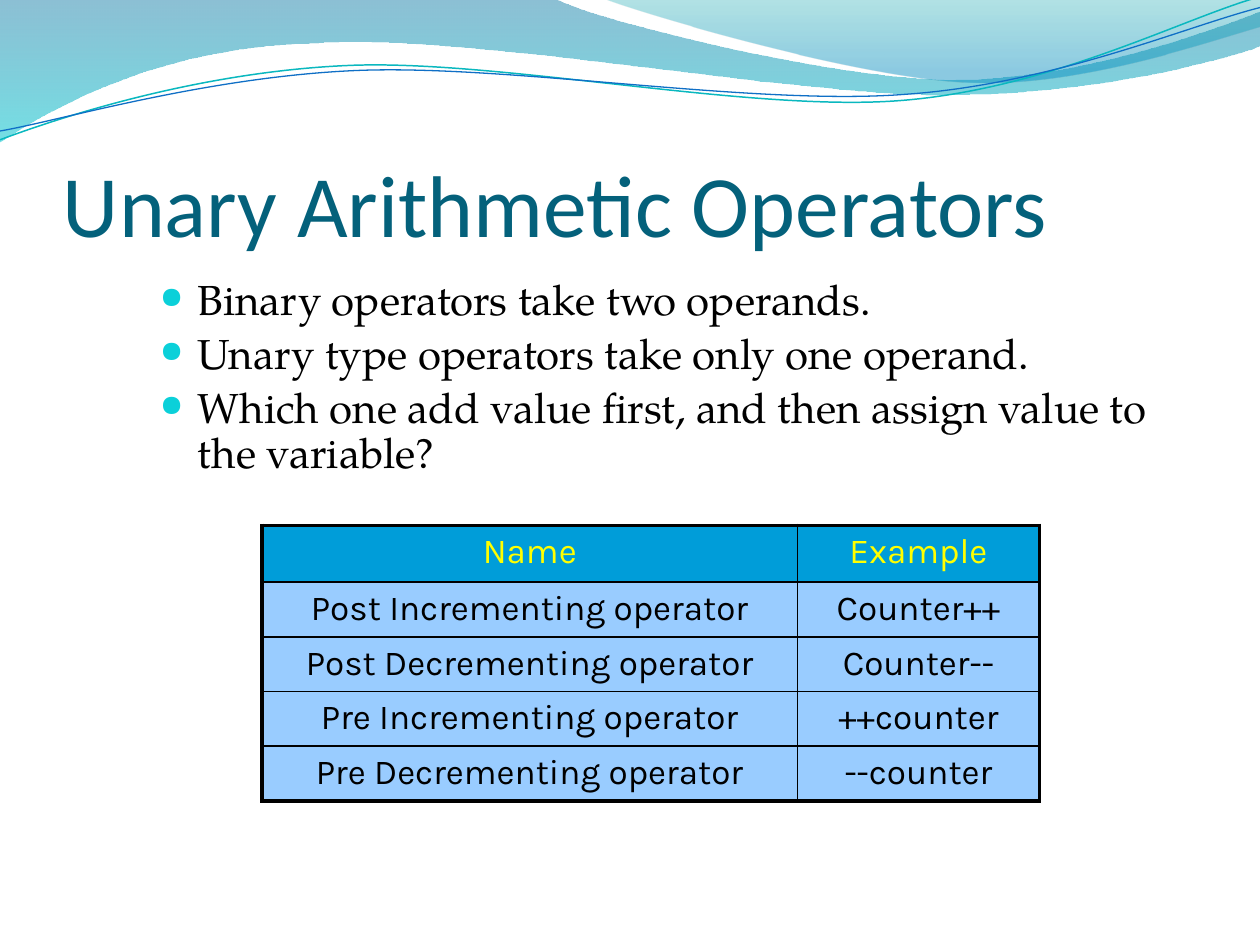
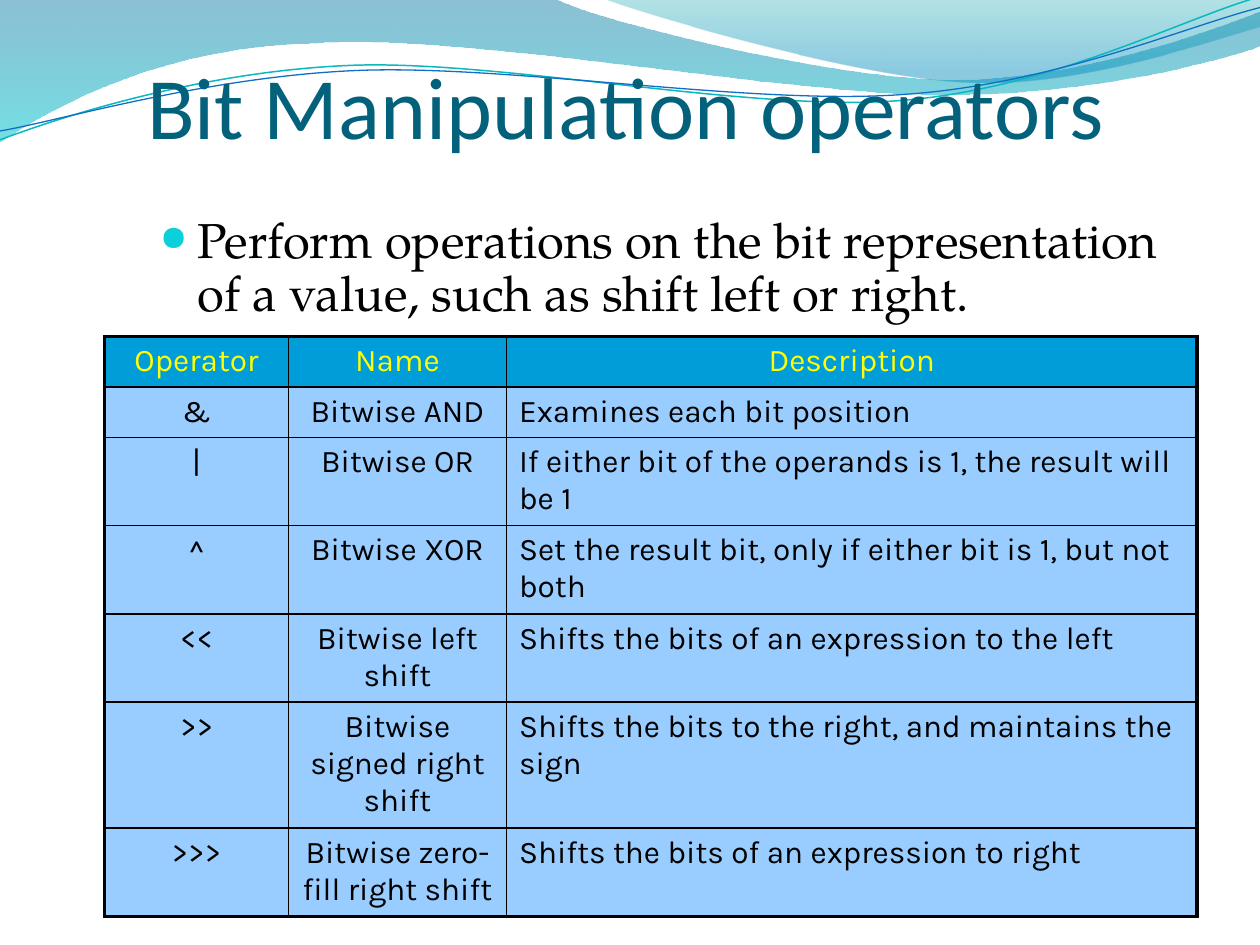
from lxml.etree import SubElement
from pptx import Presentation
from pptx.dml.color import RGBColor
from pptx.enum.text import MSO_ANCHOR, PP_ALIGN
from pptx.oxml.ns import qn
from pptx.util import Inches, Pt

# Shared look
TITLE_BLUE = RGBColor(0x04, 0x61, 0x7B)
BULLET_CYAN = RGBColor(0x0B, 0xD0, 0xD9)
HEADER_BLUE = RGBColor(0x00, 0x9D, 0xD9)
CELL_BLUE = RGBColor(0x99, 0xCC, 0xFF)
YELLOW = RGBColor(0xFF, 0xFF, 0x00)
BLACK = RGBColor(0x00, 0x00, 0x00)
BAND_BLUE = RGBColor(0x00, 0x74, 0xA1)
BAND_CYAN = RGBColor(0x00, 0xC6, 0xCF)
SWOOP_TEAL = RGBColor(0x00, 0xA1, 0xA9)
SWOOP_BLUE = RGBColor(0x00, 0x8B, 0xBF)
LINE_TEAL = RGBColor(0x0A, 0xB8, 0xBF)
LINE_BLUE = RGBColor(0x0F, 0x6F, 0xC6)
TITLE_FONT, BODY_FONT, TABLE_FONT = "Calibri", "TeX Gyre Pagella", "Karla"
THIN, THICK = Pt(1), Pt(2.25)

# Each wave is a list of points (straight) and point triples (Bezier curves).
# A filled wave has gradient stops: position, colour, opacity in percent.
WAVES = [
    dict(path=[(0, 0), (4.4, -0.01),
               ((4.76, 0.17), (6.64, 0.63), (7.58, 0.63)),
               ((8.53, 0.63), (9.58, 0.26), (10, 0.09)), (10.01, 0.36),
               ((9.83, 0.44), (8.7, 0.76), (7.46, 0.75)),
               ((6.22, 0.75), (3.82, 0.28), (2.57, 0.34)),
               ((1.29, 0.36), (0.46, 0.83), (-0.01, 1.13)), (0, 0)],
         stops=[(0, BAND_BLUE, 45), (100, BAND_CYAN, 55)]),
    dict(path=[(4.79, -0.01),
               ((5.09, 0.11), (6.82, 0.62), (7.69, 0.65)),
               ((8.56, 0.69), (9.61, 0.32), (10, 0.21)), (10, 0), (4.79, -0.01)],
         stops=[(0, SWOOP_TEAL, 30), (80, SWOOP_BLUE, 45)]),
    dict(path=[(0, 1.11),
               ((0.48, 0.93), (1.58, 0.57), (2.77, 0.52)),
               ((3.95, 0.47), (5.93, 0.89), (7.13, 0.8)),
               ((8.33, 0.71), (9.38, 0.15), (9.98, -0.02))],
         line=LINE_TEAL, width=0.85),
    dict(path=[(0, 1.04),
               ((0.47, 0.96), (1.64, 0.61), (2.83, 0.56)),
               ((4.03, 0.51), (5.97, 0.84), (7.17, 0.75)),
               ((8.36, 0.67), (9.41, 0.21), (10, 0.06))],
         line=LINE_BLUE, width=0.75),
]

# Content of the slides; table rows grow to fit their text
SLIDES = [
    dict(title="Unary Arithmetic Operators", title_at=(0.5, 0.77, 9, 1.25),
         bullets=["Binary operators take two operands.",
                  "Unary type operators take only one operand.",
                  "Which one add value first, and then assign value to the variable?"],
         bullets_at=(1.17, 2.17, 8.25, 1.33), bullet_size=24,
         table_at=(2.08, 4.17, 6.17, 2.18), table_size=20,
         columns=[4.25, 1.92], heights=[0.45, 0.2, 0.34, 0.2, 0.2],
         rows=[("Name", "Example"),
               ("Post Incrementing operator", "Counter++"),
               ("Post Decrementing operator", "Counter--"),
               ("Pre Incrementing operator", "++counter"),
               ("Pre Decrementing operator", "--counter")]),
    dict(title="Bit Manipulation operators", title_at=(1.17, 0.33, 8.58, 0.92),
         bullets=["Perform operations on the bit representation of a value, "
                  "such as shift left or right."],
         bullets_at=(1.17, 1.67, 8.25, 1), bullet_size=28,
         table_at=(0.83, 2.67, 8.67, 4.6), table_size=18,
         columns=[1.46, 1.73, 5.48],
         heights=[0.36, 0.36, 0.64, 0.64, 0.64, 0.91, 0.64],
         rows=[("Operator", "Name", "Description"),
               ("&", "Bitwise AND", "Examines each bit position"),
               ("|", "Bitwise OR",
                "If either bit of the operands is 1, the result will be 1"),
               ("^", "Bitwise XOR",
                "Set the result bit, only if either bit is 1, but not both"),
               ("<<", "Bitwise left shift",
                "Shifts the bits of an expression to the left"),
               (">>", "Bitwise signed right shift",
                "Shifts the bits to the right, and maintains the sign"),
               (">>>", "Bitwise zero-fill right shift",
                "Shifts the bits of an expression to right")]),
]


def write(para, text, font=BODY_FONT, size=24, color=BLACK,
          align=PP_ALIGN.LEFT, bullet=False):
    """Fill one paragraph with formatted text."""
    para.alignment = align
    span = para.add_run()
    span.text = text
    span.font.name = font
    span.font.size = Pt(size)
    span.font.color.rgb = color
    if bullet:
        para.line_spacing = 0.9
        para.space_before = Pt(0.2 * size)
        props = para._p.get_or_add_pPr()
        props.set("marL", str(Inches(0.3)))
        props.set("indent", str(Inches(-0.3)))
        tint = SubElement(props, qn("a:buClr"))
        SubElement(tint, qn("a:srgbClr"), val=str(BULLET_CYAN))
        SubElement(props, qn("a:buSzPct"), val="71000")
        SubElement(props, qn("a:buChar"), char="●")


def add_wave(page, steps):
    """Draw a freeform, then join each triple of segments into one curve."""
    points = [steps[0]]
    for step in steps[1:]:
        points.extend(step if len(step) == 3 else [step])
    points = [(int(Inches(x)), int(Inches(y))) for x, y in points]
    builder = page.shapes.build_freeform(*points[0], scale=1.0)
    builder.add_line_segments(points[1:], close=steps[0] == steps[-1])
    shape = builder.convert_to_shape()
    shape.shadow.inherit = False
    segments = iter(shape._element.findall(".//" + qn("a:lnTo")))
    for step in steps[1:]:
        segment = next(segments)
        if len(step) == 3:
            curve = segment.makeelement(qn("a:cubicBezTo"))
            segment.addprevious(curve)
            for part in (segment, next(segments), next(segments)):
                curve.append(part[0])
                part.getparent().remove(part)
    return shape


deck = Presentation()
deck.slide_width, deck.slide_height = Inches(10), Inches(7.5)

for content in SLIDES:
    page = deck.slides.add_slide(deck.slide_layouts[6])

    # Waves along the top
    for wave in WAVES:
        shape = add_wave(page, wave["path"])
        if "stops" in wave:
            shape.line.fill.background()
            shape.fill.gradient()
            gradient = shape._element.spPr.find(qn("a:gradFill"))
            gradient.find(qn("a:lin")).set("ang", "5400000")
            stops = gradient.find(qn("a:gsLst"))
            stops.clear()
            for position, color, opacity in wave["stops"]:
                stop = SubElement(stops, qn("a:gs"), pos=str(position * 1000))
                tint = SubElement(stop, qn("a:srgbClr"), val=str(color))
                SubElement(tint, qn("a:alpha"), val=str(opacity * 1000))
        else:
            shape.fill.background()
            shape.line.color.rgb = wave["line"]
            shape.line.width = Pt(wave["width"])

    # Title
    box = page.shapes.add_textbox(*map(Inches, content["title_at"]))
    frame = box.text_frame
    frame.word_wrap = True
    frame.vertical_anchor = MSO_ANCHOR.BOTTOM
    frame.margin_left = frame.margin_right = frame.margin_bottom = 0
    write(frame.paragraphs[0], content["title"], font=TITLE_FONT, size=50,
          color=TITLE_BLUE)

    # Bullets
    box = page.shapes.add_textbox(*map(Inches, content["bullets_at"]))
    frame = box.text_frame
    frame.word_wrap = True
    for i, text in enumerate(content["bullets"]):
        para = frame.add_paragraph() if i else frame.paragraphs[0]
        write(para, text, size=content["bullet_size"], bullet=True)

    # Table: thin inner borders, thick outer frame
    rows, columns = content["rows"], content["columns"]
    holder = page.shapes.add_table(len(rows), len(columns),
                                   *map(Inches, content["table_at"]))
    table = holder.table
    for column, width in zip(table.columns, columns):
        column.width = Inches(width)
    for row, height in zip(table.rows, content["heights"]):
        row.height = Inches(height)
    holder.height = Inches(content["table_at"][3])
    for r, texts in enumerate(rows):
        for c, text in enumerate(texts):
            cell = table.cell(r, c)
            outer = {"L": c == 0, "R": c == len(columns) - 1,
                     "T": r == 0, "B": r == len(rows) - 1}
            for side, is_outer in outer.items():
                border = SubElement(cell._tc.get_or_add_tcPr(), qn("a:ln" + side),
                                    w=str(THICK if is_outer else THIN))
                paint = SubElement(border, qn("a:solidFill"))
                SubElement(paint, qn("a:srgbClr"), val=str(BLACK))
            cell.fill.solid()
            cell.fill.fore_color.rgb = CELL_BLUE if r else HEADER_BLUE
            write(cell.text_frame.paragraphs[0], text, font=TABLE_FONT,
                  size=content["table_size"], color=BLACK if r else YELLOW,
                  align=PP_ALIGN.LEFT if r and c == 2 else PP_ALIGN.CENTER)

deck.save("out.pptx")
